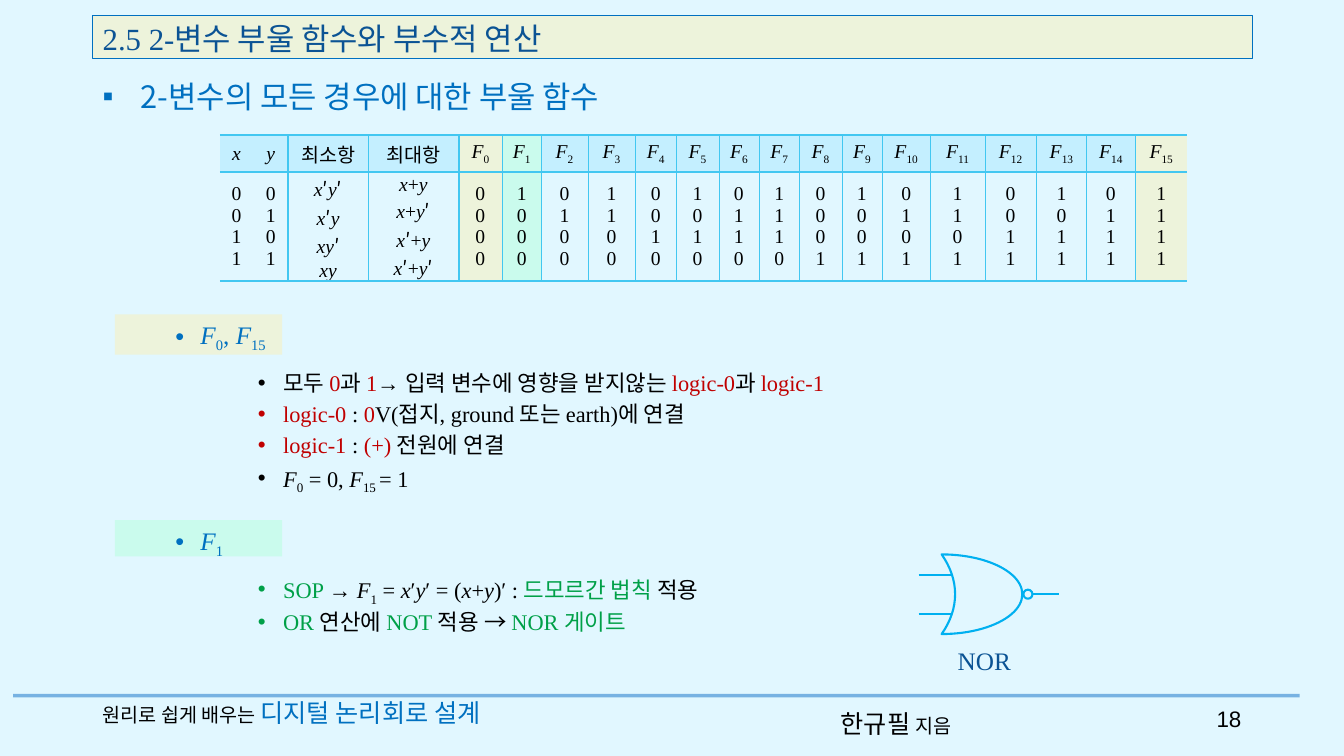
from itertools import groupby
from lxml.etree import SubElement
from pptx import Presentation
from pptx.dml.color import RGBColor
from pptx.enum.shapes import MSO_CONNECTOR, MSO_SHAPE
from pptx.enum.text import MSO_ANCHOR, PP_ALIGN
from pptx.oxml.ns import qn
from pptx.util import Inches, Pt

LATIN, KOREAN = "Times New Roman", "Noto Sans CJK KR"
BLACK, BLUE, NAVY, RED, GREEN = "000000", "0070C0", "0B5394", "C00000", "00A048"
CREAM, MINT, HEADER, GRID, GATE = "EDF3DB", "CAFBED", "C4EFFF", "42C7F1", "00B0F0"
THICK, THIN = 1.7, 0.28


def color(value):
    return RGBColor.from_string(value)


class LectureSlide:
    def __init__(self, presentation):
        self.slide = presentation.slides.add_slide(presentation.slide_layouts[6])
        self.shapes = self.slide.shapes
        background = self.slide.background.fill
        background.solid()
        background.fore_color.rgb = color("E1F7FF")

    def start_group(self):
        self.shapes = self.slide.shapes.add_group_shape().shapes

    def end_group(self):
        self.shapes = self.slide.shapes

    def add_runs(self, paragraph, runs, size, default=BLACK, font=LATIN):
        paragraph.font.size, paragraph.font.name = Pt(size), font
        for text, *look in [(run,) if isinstance(run, str) else run for run in runs]:
            marks = set()
            for mark, letters in groupby(text, lambda letter: letter if letter in "*_^" else ""):
                if mark:
                    marks ^= {mark}
                    continue
                run = paragraph.add_run()
                run.text = "".join(letters)
                run.font.color.rgb = color(look[0] if look else default)
                if len(look) > 1:
                    run.font.size = Pt(look[1])
                if "*" in marks:
                    run.font.italic = True
                properties = run.font._element
                if "_" in marks:
                    properties.set("baseline", "-25000")
                if "^" in marks:
                    run.font.name = KOREAN
                SubElement(properties, qn("a:ea")).set("typeface", KOREAN)

    def bullet(self, paragraph, symbol, margin, hanging, level):
        paragraph.level = level
        properties = paragraph._p.get_or_add_pPr()
        properties.set("marL", str(Inches(margin)))
        properties.set("indent", str(-Inches(hanging)))
        mark_font = properties.makeelement(qn("a:buFont"), {"typeface": "Arial"})
        mark = properties.makeelement(qn("a:buChar"), {"char": symbol})
        defaults = properties.find(qn("a:defRPr"))
        defaults.addprevious(mark_font)
        defaults.addprevious(mark)

    def text(self, box, lines, size, default=BLACK, font=LATIN, align=PP_ALIGN.LEFT,
             wrap=True, bullet=None, before=0, spacing=None, shape=None):
        shape = shape or self.shapes.add_textbox(*map(Inches, box))
        frame = shape.text_frame
        frame.word_wrap = wrap
        frame.vertical_anchor = MSO_ANCHOR.TOP
        for index, runs in enumerate(lines):
            paragraph = frame.add_paragraph() if index else frame.paragraphs[0]
            paragraph.alignment = align
            paragraph.space_before = Pt(before)
            if spacing:
                paragraph.line_spacing = spacing
            self.add_runs(paragraph, runs, size, default, font)
            if bullet:
                self.bullet(paragraph, *bullet)

    def shape(self, kind, box, fill=None, line=None, width=0.75):
        shape = self.shapes.add_shape(kind, *map(Inches, box))
        shape.shadow.inherit = False
        if fill:
            shape.fill.solid()
            shape.fill.fore_color.rgb = color(fill)
        else:
            shape.fill.background()
        if line:
            shape.line.color.rgb = color(line)
            shape.line.width = Pt(width)
        else:
            shape.line.fill.background()
        return shape

    def label(self, box, fill, runs):
        self.text(box, [runs], 18, BLUE, bullet=("•", 0.75, 0.25, 1), before=5,
                  shape=self.shape(MSO_SHAPE.RECTANGLE, box, fill))

    def line(self, start, end, stroke, width, opacity=None):
        connector = self.shapes.add_connector(MSO_CONNECTOR.STRAIGHT, *map(Inches, start + end))
        connector.line.color.rgb = color(stroke)
        connector.line.width = Pt(width)
        properties = connector._element.spPr
        if opacity:
            SubElement(next(properties.iter(qn("a:srgbClr"))), qn("a:alpha")).set("val", str(opacity * 1000))
        SubElement(properties, qn("a:effectLst"))

    def border(self, cell, side, width):
        edge = SubElement(cell._tc.get_or_add_tcPr(), qn("a:ln" + side))
        edge.set("w", str(Pt(width)))
        if width:
            SubElement(SubElement(edge, qn("a:solidFill")), qn("a:srgbClr")).set("val", GRID)
        else:
            SubElement(edge, qn("a:noFill"))

    def table(self, box, widths, heights, columns, fills, rules):
        table = self.shapes.add_table(len(heights), len(widths), *map(Inches, box)).table
        table.first_row = table.horz_banding = False
        for row, height in zip(table.rows, heights):
            row.height = Inches(height)
        for index, (width, (heading, values)) in enumerate(zip(widths, columns)):
            table.columns[index].width = Inches(width)
            for row, lines in enumerate(([heading], values)):
                cell = table.cell(row, index)
                cell.vertical_anchor = MSO_ANCHOR.MIDDLE
                if row:
                    cell.margin_left = cell.margin_right = Inches(0.07)
                    cell.margin_top = cell.margin_bottom = Inches(0.02)
                for side, rule in zip("LRTB", (rules[index], rules[index + 1], THICK, THICK)):
                    self.border(cell, side, rule)
                fill = fills.get(index, None if row else HEADER)
                if fill:
                    cell.fill.solid()
                    cell.fill.fore_color.rgb = color(fill)
                else:
                    cell.fill.background()
                for number, line in enumerate(lines):
                    frame = cell.text_frame
                    paragraph = frame.add_paragraph() if number else frame.paragraphs[0]
                    paragraph.alignment = PP_ALIGN.CENTER
                    self.add_runs(paragraph, [line], 14)


def add_truth_table(page):
    columns = [
        ("*x*", "0011"),
        ("*y*", "0101"),
        ("최소항", ["*x*^′^*y*^′^", "*x*^′^*y*", "*xy*^′^", "*xy*"]),
        ("최대항", ["*x*+*y*", "*x*+*y*^′^", "*x*^′^+*y*", "*x*^′^+*y*^′^"]),
    ]
    columns += [(f"*F*_{n}_", [str(n >> row & 1) for row in range(4)]) for n in range(16)]
    widths = [0.33, 0.35, 0.79, 0.9, 0.43, 0.39, 0.46, 0.47, 0.41, 0.42,
              0.4, 0.4, 0.42, 0.4, 0.48, 0.54, 0.51, 0.5, 0.48, 0.52]
    rules = [0, 0, THICK, THIN, THICK] + [THIN] * 15 + [0]
    page.table((2.18, 1.34, 9.62, 1.44), widths, (0.36, 1.08), columns,
               {4: CREAM, 5: MINT, 19: CREAM}, rules)


def add_nor_gate(page):
    page.start_group()
    body = page.shape(MSO_SHAPE.MOON, (9.34, 5.5, 0.8, 0.79), line=GATE, width=1.5)
    body.adjustments[0] = 0.833
    body._element.spPr.xfrm.set("flipH", "1")
    page.line((10.24, 5.89), (10.5, 5.89), GATE, 1.5)
    for y in (5.7, 6.09):
        page.line((9.11, y), (9.44, y), GATE, 1.5)
    page.shape(MSO_SHAPE.OVAL, (10.15, 5.85, 0.09, 0.09), line=GATE, width=1.5)
    page.text((9.4, 6.35, 0.73, 0.4), [["NOR"]], 18, NAVY, wrap=False)
    page.end_group()


def main():
    presentation = Presentation()
    presentation.slide_width, presentation.slide_height = Inches(13.33), Inches(7.5)
    page = LectureSlide(presentation)
    page.line((0.13, 6.9), (12.89, 6.9), "0F6FC6", 2.5, opacity=50)
    page.text((8.24, 6.98, 1.53, 0.4), [[("한규필 ", BLACK, 18), "지음"]], 14, font=KOREAN)
    page.text((0.92, 6.87, 4.63, 0.4), [["원리로 쉽게 배우는 ", ("디지털 논리회로 설계", BLUE, 18)]], 14)
    page.text((11.79, 6.95, 0.62, 0.4), [["18"]], 16, font="Arial", align=PP_ALIGN.RIGHT)
    title = (0.92, 0.15, 11.5, 0.43)
    page.text(title, [["2.5 2-변수 부울 함수와 부수적 연산"]], 22, NAVY,
              shape=page.shape(MSO_SHAPE.RECTANGLE, title, CREAM, BLUE))
    page.text((0.92, 0.72, 7.14, 0.47), [["2-변수의 모든 경우에 대한 부울 함수"]], 22, BLUE, KOREAN,
              bullet=("▪", 0.38, 0.38, 0))
    add_truth_table(page)
    add_nor_gate(page)
    page.label((1.14, 3.12, 1.66, 0.4), CREAM, ["*F*_0_, *F*_15_"])
    page.label((1.14, 5.16, 1.66, 0.36), MINT, ["*F*_1_"])
    constants = [
        ["모두 ", ("0", RED), "과 ", ("1", RED), "→ 입력 변수에 영향을 받지않는 ",
         ("logic-0", RED), "과 ", ("logic-1", RED)],
        [("logic-0 ", RED), ": ", ("0", RED), "V(접지, ground 또는 earth)에 연결"],
        [("logic-1 ", RED), ": ", ("(+) ", RED), "전원에 연결"],
        ["*F*_0_ = 0, *F*_15 _= 1"],
    ]
    nor = [
        [("SOP ", GREEN), "→ *F*_1_ = *x*′*y*′ = (*x*+*y*)′ : ", ("드모르간 법칙 ", GREEN), "적용"],
        [("OR ", GREEN), "연산에 ", ("NOT", GREEN), " 적용 → ", ("NOR 게이트", GREEN)],
    ]
    for top, height, lines in ((3.64, 1.35, constants), (5.67, 0.92, nor)):
        page.text((1.46, top, 10.95, height), lines, 16, bullet=("•", 1.25, 0.25, 2),
                  before=5, spacing=0.9)
    presentation.save("out.pptx")


if __name__ == "__main__":
    main()
